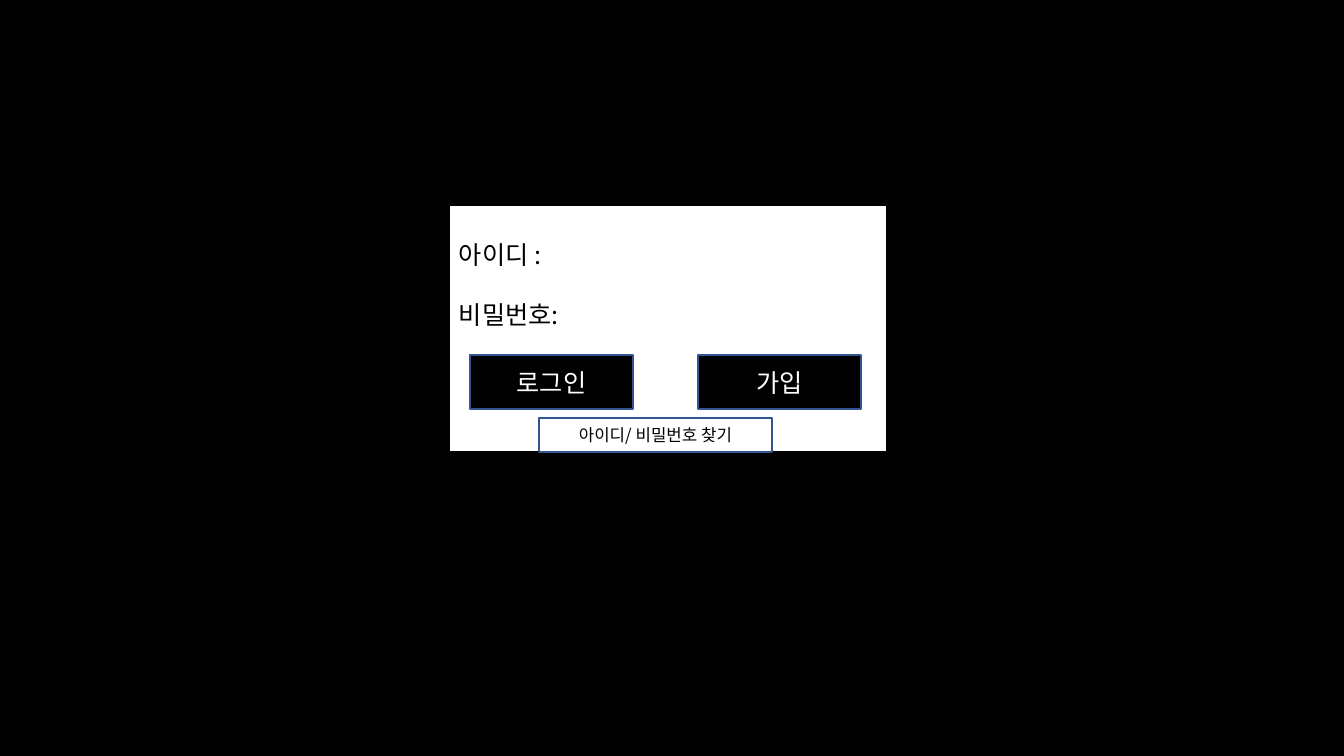
"""Build a login dialog slide with two fields, two buttons and a recovery link."""
from dataclasses import dataclass

from lxml.etree import SubElement
from pptx import Presentation
from pptx.dml.color import RGBColor
from pptx.enum.shapes import MSO_SHAPE as Shape
from pptx.enum.text import MSO_ANCHOR as Anchor, PP_ALIGN as Align
from pptx.oxml.ns import qn
from pptx.slide import Slide
from pptx.util import Emu, Pt

FONT = "Noto Sans CJK KR"
BLACK, WHITE, BLUE = "000000", "FFFFFF", "325491"
WIDTH, HEIGHT = 1344, 756
BUTTON_TOP, BUTTON_W, BUTTON_H = 355, 163, 54


@dataclass(frozen=True)
class Box:
    left: int
    top: int
    width: int
    height: int
    fill: str
    line: str
    lines: tuple[str, ...] = ()
    color: str = BLACK
    size: int = 18
    align: Align = Align.CENTER
    anchor: Anchor = Anchor.MIDDLE
    spacing: float | None = None


def px(n: int) -> Emu:
    return Emu(round(n * 914400 / 100.8))


def rgb(value: str) -> RGBColor:
    return RGBColor.from_string(value)


def set_all(obj: object, values: dict[str, object]) -> None:
    for name, value in values.items():
        setattr(obj, name, value)


def draw_box(s: Slide, box: Box) -> None:
    sp = s.shapes.add_shape(
        Shape.RECTANGLE, *map(px, (box.left, box.top, box.width, box.height)))
    sp.shadow.inherit = False
    sp.fill.solid()
    sp.fill.fore_color.rgb = rgb(box.fill)
    sp.line.color.rgb = rgb(box.line)
    sp.line.width = Pt(1)
    tf = sp.text_frame
    set_all(tf, {"word_wrap": True, "vertical_anchor": box.anchor,
                 "margin_top": px(5), "margin_bottom": px(5)})
    for i, text in enumerate(box.lines):
        p = tf.add_paragraph() if i else tf.paragraphs[0]
        set_all(p, {"alignment": box.align,
                    "line_spacing": Pt(box.spacing) if box.spacing else None})
        r = p.add_run()
        r.text = text
        set_all(r.font, {"name": FONT, "size": Pt(box.size)})
        r.font.color.rgb = rgb(box.color)
        SubElement(r.font._element, qn("a:ea"), typeface=FONT)


def button(left: int, label: str) -> Box:
    return Box(left, BUTTON_TOP, BUTTON_W, BUTTON_H, BLACK, BLUE, (label,), WHITE)


BOXES = (
    Box(0, 0, WIDTH, HEIGHT, BLACK, BLACK),
    Box(449, 205, 438, 247, WHITE, BLACK, ("아이디 :", "비밀번호:"),
        align=Align.LEFT, anchor=Anchor.TOP, spacing=42.86),
    button(470, "로그인"),
    button(698, "가입"),
    Box(539, 418, 233, 34, WHITE, BLUE, ("아이디/ 비밀번호 찾기",), size=12),
)


def main() -> None:
    prs = Presentation()
    set_all(prs, {"slide_width": px(WIDTH), "slide_height": px(HEIGHT)})
    s = prs.slides.add_slide(prs.slide_layouts[6])
    for box in BOXES:
        draw_box(s, box)
    prs.save("out.pptx")


main()
